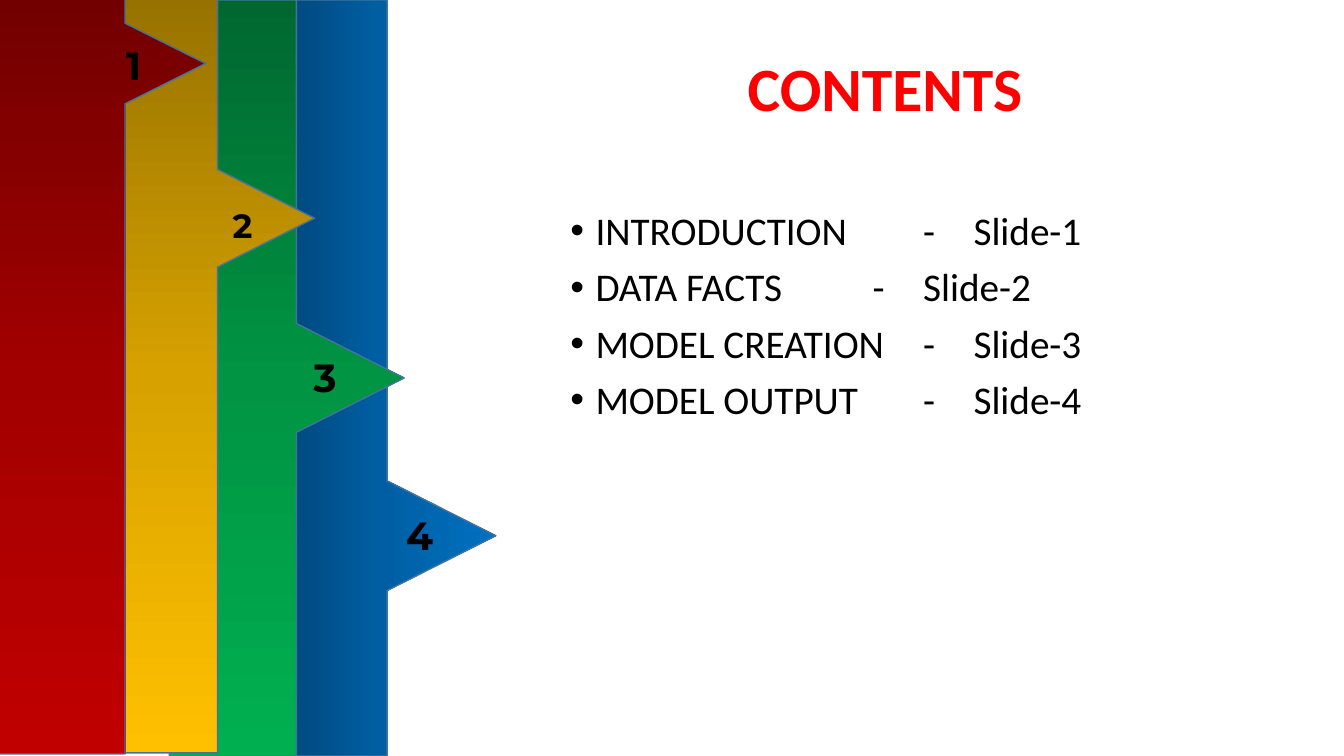
from copy import deepcopy

from pptx import Presentation
from pptx import util as u
from pptx.dml import color
from pptx.enum import text
from pptx.oxml import ns, xmlchemy

RIBBONS = [
    dict(left=185.8, right=276.5, top=0, bottom=540, middle=382.7, half=39.2, tip=354.2,
         angle=0, shades=("004272", "005EA2", "0070C0")),
    dict(left=121, right=211.7, top=0, bottom=540, middle=270, half=38.9, tip=288.7,
         angle=270, shades=("00682F", "009443", "00B050")),
    dict(left=64.8, right=155.5, top=-2.2, bottom=537.8, middle=155.9, half=34.9, tip=224.6,
         angle=270, shades=("977200", "D7A200", "FFC000")),
    dict(left=-0.7, right=89.3, top=-1.4, bottom=538.6, middle=45.4, half=28.8, tip=146.9,
         angle=270, shades=("720000", "A20000", "C00000")),
]
NUMBERS = [
    ("4", 283, 361.4, 28),
    ("3", 216.7, 249.1, 28),
    ("2", 159.1, 142.6, 24),
    ("1", 82.8, 25.9, 28),
]
CONTENTS = [
    "INTRODUCTION\t\t-\tSlide-1",
    "DATA FACTS\t\t-\tSlide-2",
    "MODEL CREATION\t-\tSlide-3",
    "MODEL OUTPUT\t\t-\tSlide-4",
]


def rgb(value):
    return color.RGBColor.from_string(value)


def fill_gradient(shape, shades, angle):
    shape.fill.gradient()
    shape.fill.gradient_angle = angle
    first_stop = next(shape._element.iter(ns.qn("a:gs")))
    first_stop.addnext(deepcopy(first_stop))
    for index, stop in enumerate(shape.fill.gradient_stops):
        stop.position = index / 2
        stop.color.rgb = rgb(shades[index])


def add_ribbon(slide, left, right, top, bottom, middle, half, tip, angle, shades):
    outline = [(right, top), (right, middle - half), (tip, middle),
               (right, middle + half), (right, bottom), (left, bottom)]
    builder = slide.shapes.build_freeform(u.Pt(left), u.Pt(top))
    builder.add_line_segments([(u.Pt(x), u.Pt(y)) for x, y in outline], close=True)
    shape = builder.convert_to_shape()
    shape.shadow.inherit = False
    fill_gradient(shape, shades, angle)
    shape.line.color.rgb = rgb("43739E")
    shape.line.width = u.Pt(1)


def add_text(slide, lines, left, top, width, height, size, font, hex_color, bold=False):
    shape = slide.shapes.add_textbox(u.Pt(left), u.Pt(top), u.Pt(width), u.Pt(height))
    frame = shape.text_frame
    frame.word_wrap = True
    frame.text = "\n".join(lines)
    for paragraph in frame.paragraphs:
        for run in paragraph.runs:
            run.font.size = u.Pt(size)
            run.font.name = font
            run.font.bold = bold
            run.font.color.rgb = rgb(hex_color)
    return frame


def add_number(slide, number, left, top, size):
    frame = add_text(slide, [number], left, top, size + 5, size * 1.46,
                     size, "Montserrat", "000000", True)
    frame.word_wrap = False
    frame.auto_size = text.MSO_AUTO_SIZE.SHAPE_TO_FIT_TEXT


def add_bullet(paragraph):
    properties = paragraph._p.get_or_add_pPr()
    properties.set("marL", str(u.Pt(18)))
    properties.set("indent", str(-u.Pt(18)))
    font = xmlchemy.OxmlElement("a:buFont")
    font.set("typeface", "Arial")
    bullet = xmlchemy.OxmlElement("a:buChar")
    bullet.set("char", "•")
    properties.extend([font, bullet])


def add_title(slide):
    frame = add_text(slide, ["CONTENTS"], 527, 38.2, 828, 104.4,
                     44, "Calibri", "FF0000", True)
    frame.paragraphs[0].line_spacing = 0.9


def add_contents(slide):
    frame = add_text(slide, CONTENTS, 400.3, 147.6, 828, 342.7, 28, "Calibri", "000000")
    for paragraph in frame.paragraphs:
        paragraph.line_spacing = 0.9
        paragraph.space_before = u.Pt(10)
        add_bullet(paragraph)


def main():
    presentation = Presentation()
    presentation.slide_width = u.Pt(960)
    presentation.slide_height = u.Pt(540)
    slide = presentation.slides.add_slide(presentation.slide_layouts[6])
    for ribbon, number in zip(RIBBONS, NUMBERS):
        add_ribbon(slide, **ribbon)
        add_number(slide, *number)
    add_title(slide)
    add_contents(slide)
    presentation.save("out.pptx")


main()
